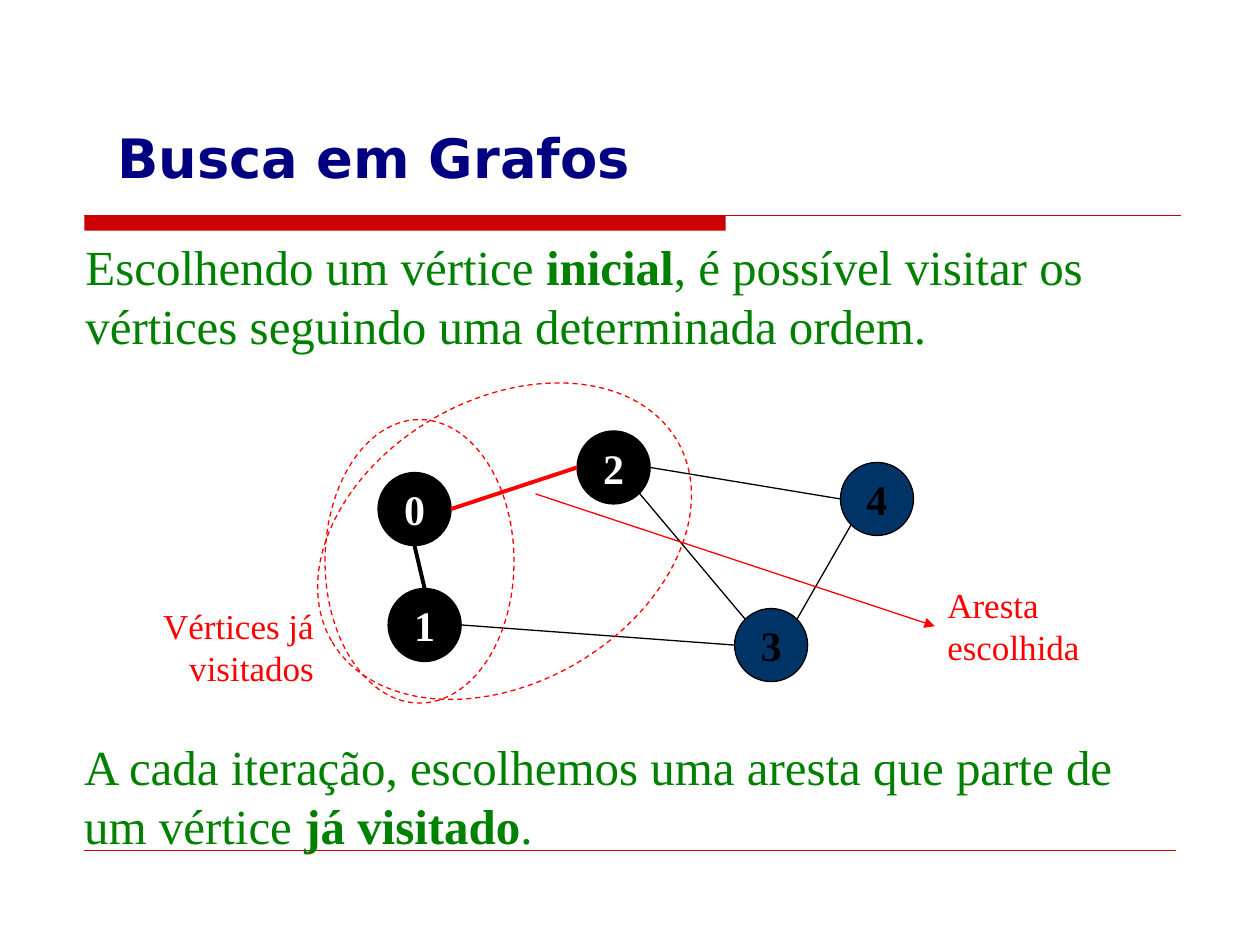
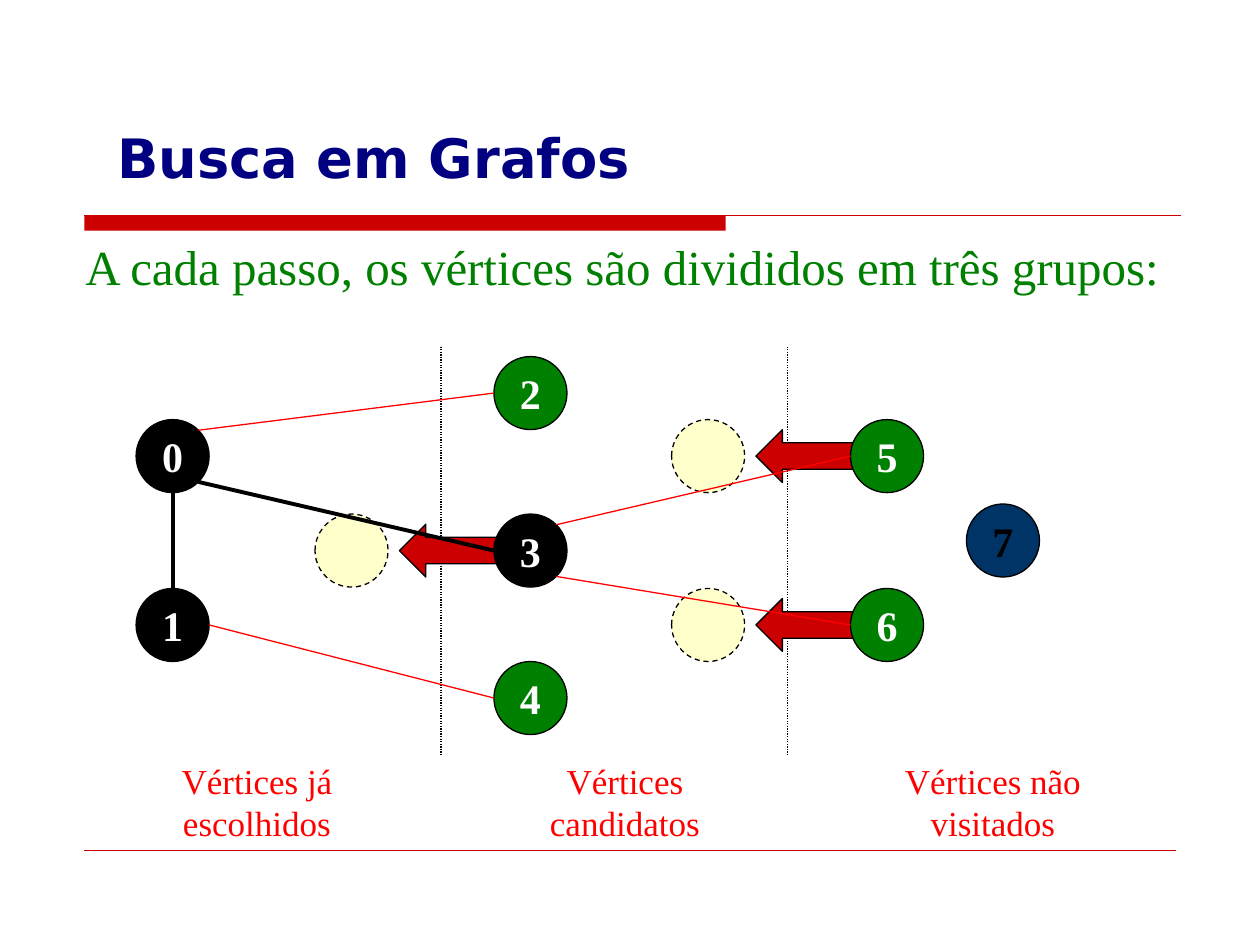
"""Builds two slides on graph search: choosing an edge and grouping the vertices."""
from math import cos, radians, sin

from lxml.etree import SubElement
from pptx import Presentation
from pptx.dml.color import RGBColor
from pptx.enum.dml import MSO_LINE
from pptx.enum.shapes import MSO_CONNECTOR, MSO_SHAPE
from pptx.enum.text import MSO_ANCHOR, MSO_AUTO_SIZE, PP_ALIGN
from pptx.oxml.ns import qn
from pptx.util import Inches, Pt

BLACK, WHITE, NAVY = "000000", "FFFFFF", "000080"
CRIMSON, RED, GREEN = "CC0000", "FF0000", "008000"
SLATE, CREAM = "003366", "FFFFCC"
TITLE_FONT, BODY_FONT = "DejaVu Sans", "Times New Roman"
DIAMETER = 0.58
ANGLES = {
    "right": 0, "bottom right": 45, "bottom": 90, "bottom left": 135,
    "left": 180, "top left": 225, "top": 270, "top right": 315,
}


def color(value):
    return RGBColor.from_string(value)


def rim(corner, side):
    """Gives the point on a vertex's outline at the named side."""
    radius, angle = DIAMETER / 2, radians(ANGLES[side])
    left, top = corner
    return left + radius * (1 + cos(angle)), top + radius * (1 + sin(angle))


class Deck:
    """Holds the shared style and the slide being drawn."""

    def __init__(self):
        self.presentation = Presentation()
        self.presentation.slide_width = Inches(10)
        self.presentation.slide_height = Inches(7.5)
        self.slide = None

    def start_slide(self, title):
        layout = self.presentation.slide_layouts[5]
        self.slide = self.presentation.slides.add_slide(layout)
        self.shape(MSO_SHAPE.RECTANGLE, 0.67, 1.71, 5.09, 0.12, CRIMSON, None)
        self.line((0.67, 1.71), (9.37, 1.71), CRIMSON)
        self.line((0.67, 6.75), (9.33, 6.75), CRIMSON, 0.25)
        placeholder = self.slide.shapes.title
        placeholder.left, placeholder.top = Inches(0.83), Inches(0.3)
        placeholder.width, placeholder.height = Inches(9), Inches(1.25)
        frame = placeholder.text_frame
        frame.text = title
        frame.auto_size = MSO_AUTO_SIZE.NONE
        frame.vertical_anchor = MSO_ANCHOR.BOTTOM
        frame.paragraphs[0].alignment = PP_ALIGN.LEFT
        self.style(frame.paragraphs[0], 31, NAVY, TITLE_FONT, True)

    def style(self, paragraph, size, ink, name=BODY_FONT, bold=None):
        font = paragraph.font
        font.name, font.size, font.bold = name, Pt(size), bold
        font.color.rgb = color(ink)

    def shape(self, kind, left, top, width, height, fill, outline=BLACK, dash=None):
        shape = self.slide.shapes.add_shape(
            kind, Inches(left), Inches(top), Inches(width), Inches(height))
        shape.shadow.inherit = False
        if fill:
            shape.fill.solid()
            shape.fill.fore_color.rgb = color(fill)
        else:
            shape.fill.background()
        if outline:
            shape.line.color.rgb = color(outline)
            shape.line.width = Pt(0.75)
            shape.line.dash_style = dash
        else:
            shape.line.fill.background()
        return shape

    def line(self, start, end, ink=BLACK, width=0.75, dash=None, arrow=False):
        connector = self.slide.shapes.add_connector(
            MSO_CONNECTOR.STRAIGHT, *(Inches(value) for value in (*start, *end)))
        connector.line.color.rgb = color(ink)
        connector.line.width = Pt(width)
        connector.line.dash_style = dash
        if arrow:
            SubElement(connector.line._get_or_add_ln(), qn("a:tailEnd"), type="triangle")
        SubElement(connector._element.spPr, qn("a:effectLst"))

    def paragraph(self, left, top, width, height):
        box = self.slide.shapes.add_textbox(
            Inches(left), Inches(top), Inches(width), Inches(height))
        box.text_frame.word_wrap = True
        return box.text_frame.paragraphs[0]

    def statement(self, left, top, height, *texts):
        """Writes a sentence in which every second text is bold."""
        paragraph = self.paragraph(left, top, 8.83, height)
        self.style(paragraph, 28, GREEN)
        for index, text in enumerate(texts):
            run = paragraph.add_run()
            run.text = text
            run.font.bold = index % 2 == 1

    def label(self, left, top, width, text, alignment=PP_ALIGN.CENTER):
        paragraph = self.paragraph(left, top, width, 0.77)
        paragraph.text = text
        paragraph.alignment = alignment
        self.style(paragraph, 20, RED)

    def vertex(self, name, corner, fill):
        shape = self.shape(MSO_SHAPE.OVAL, *corner, DIAMETER, DIAMETER, fill)
        frame = shape.text_frame
        frame.text = name
        frame.word_wrap = False
        frame.vertical_anchor = MSO_ANCHOR.MIDDLE
        frame.paragraphs[0].alignment = PP_ALIGN.CENTER
        self.style(frame.paragraphs[0], 24, BLACK if fill == SLATE else WHITE, bold=True)

    def graph(self, vertices, edges):
        for name, (corner, fill) in vertices.items():
            self.vertex(name, corner, fill)
        for first, first_side, second, second_side, ink, width in edges:
            self.line(rim(vertices[first][0], first_side),
                      rim(vertices[second][0], second_side), ink, width)

    def region(self, left, top, width, height, rotation=0):
        oval = self.shape(MSO_SHAPE.OVAL, left, top, width, height, None, RED, MSO_LINE.DASH)
        oval.rotation = rotation

    def move(self, left, top):
        """Draws the place a vertex moves to and the arrow towards it."""
        self.shape(MSO_SHAPE.OVAL, left, top, DIAMETER, DIAMETER, CREAM, dash=MSO_LINE.DASH)
        self.shape(MSO_SHAPE.LEFT_ARROW, left + 0.67, top + 0.08, 0.83, 0.42, CRIMSON)


def add_edge_choice(deck):
    deck.start_slide("Busca em Grafos")
    deck.statement(0.58, 1.83, 1.04, "Escolhendo um vértice ", "inicial",
                   ", é possível visitar os vértices seguindo uma determinada ordem.")
    vertices = {
        "0": ((3, 3.75), BLACK),
        "1": ((3.08, 4.67), BLACK),
        "2": ((4.58, 3.42), BLACK),
        "3": ((5.83, 4.83), SLATE),
        "4": ((6.67, 3.67), SLATE),
    }
    edges = [
        ("0", "bottom", "1", "top", BLACK, 2.25),
        ("0", "right", "2", "left", RED, 2.25),
        ("1", "right", "3", "left", BLACK, 0.75),
        ("2", "right", "4", "left", BLACK, 0.75),
        ("3", "top right", "4", "bottom left", BLACK, 0.75),
        ("2", "bottom right", "3", "top left", BLACK, 0.75),
    ]
    deck.graph(vertices, edges)
    deck.region(2.58, 3.33, 1.5, 2.25)
    deck.region(2.42, 3.17, 3.17, 2.25, 330)
    deck.label(0.92, 4.75, 1.67, "Vértices já\nvisitados", PP_ALIGN.RIGHT)
    deck.label(7.42, 4.58, 1.67, "Aresta\nescolhida", PP_ALIGN.LEFT)
    deck.line((4.25, 3.92), (7.42, 4.97), RED, arrow=True)
    deck.statement(0.57, 5.8, 1.04,
                   "A cada iteração, escolhemos uma aresta que parte de um vértice ",
                   "já visitado", ".")


def add_vertex_groups(deck):
    deck.start_slide("Busca em Grafos")
    deck.statement(0.58, 1.83, 0.57,
                   "A cada passo, os vértices são divididos em três grupos:")
    for left, width, text in (
        (1.25, 1.58, "Vértices já\nescolhidos"),
        (4.17, 1.58, "Vértices\ncandidatos"),
        (6.92, 1.92, "Vértices não\nvisitados"),
    ):
        deck.label(left, 5.98, width, text)
    for divider in (3.5, 6.25):
        deck.line((divider, 2.75), (divider, 6), dash=MSO_LINE.ROUND_DOT)
    for target in ((2.5, 4.08), (5.33, 3.33), (5.33, 4.67)):
        deck.move(*target)
    vertices = {
        "0": ((1.08, 3.33), BLACK),
        "1": ((1.08, 4.67), BLACK),
        "2": ((3.92, 2.83), GREEN),
        "3": ((3.92, 4.08), BLACK),
        "4": ((3.92, 5.25), GREEN),
        "5": ((6.75, 3.33), GREEN),
        "6": ((6.75, 4.67), GREEN),
        "7": ((7.67, 4), SLATE),
    }
    edges = [
        ("0", "bottom", "1", "top", BLACK, 2.25),
        ("0", "top right", "2", "left", RED, 0.75),
        ("0", "bottom right", "3", "left", BLACK, 2.25),
        ("1", "right", "4", "left", RED, 0.75),
        ("3", "top right", "5", "left", RED, 0.75),
        ("3", "bottom right", "6", "left", RED, 0.75),
    ]
    deck.graph(vertices, edges)


def main():
    deck = Deck()
    add_edge_choice(deck)
    add_vertex_groups(deck)
    deck.presentation.save("out.pptx")


if __name__ == "__main__":
    main()
